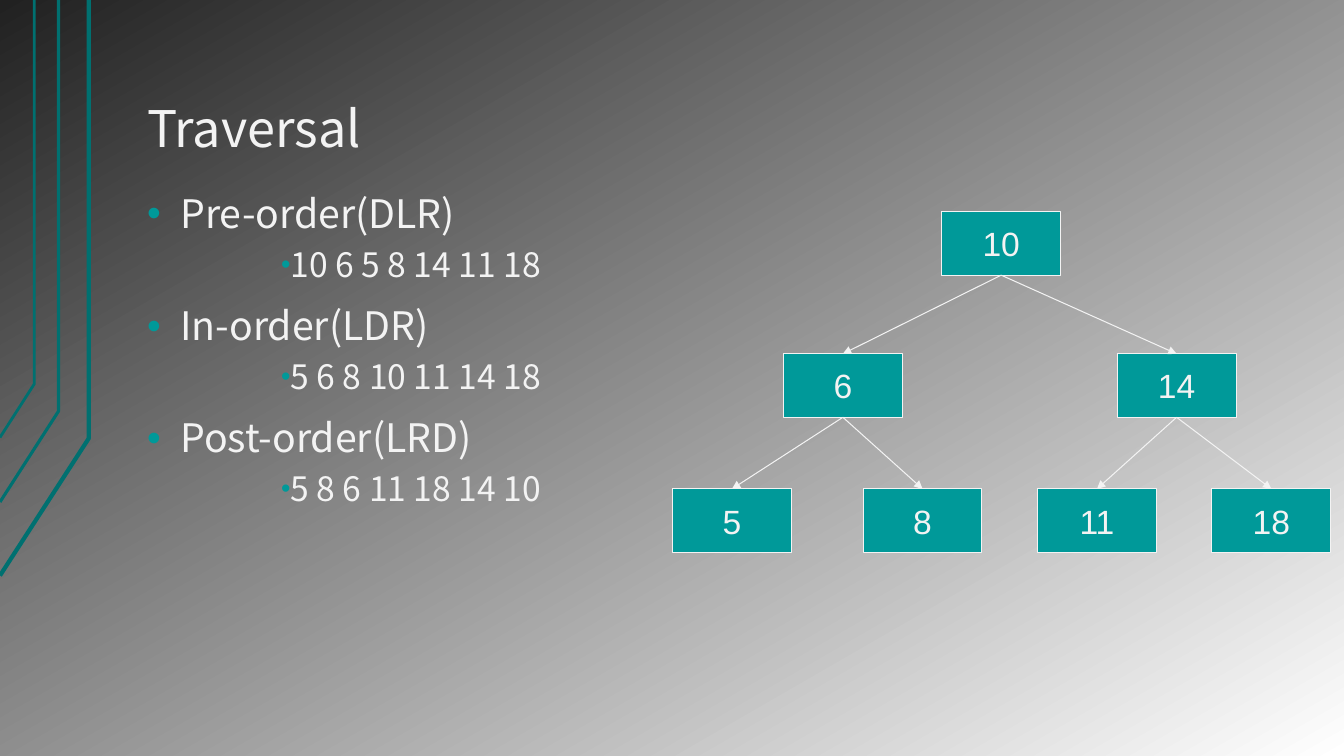
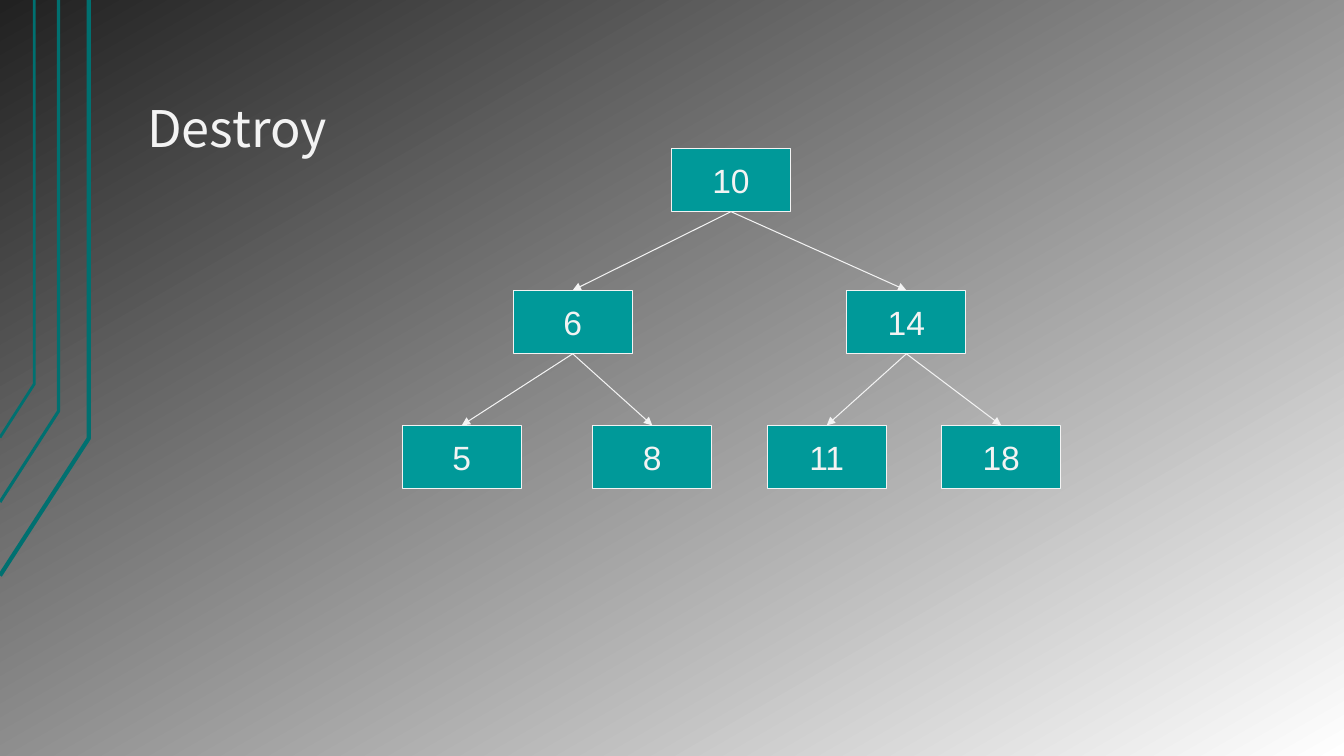
from lxml.etree import SubElement
from pptx import Presentation
from pptx.dml.color import RGBColor
from pptx.enum.shapes import MSO_CONNECTOR as Connector, MSO_SHAPE as Shape
from pptx.enum.text import MSO_ANCHOR as Anchor, PP_ALIGN as Align
from pptx.oxml.ns import qn
from pptx.util import Pt

PX = 9144  # EMU in one px, 100 px to the inch
SLIDE_W, SLIDE_H = 1333, 750

DARK = RGBColor(0x21, 0x21, 0x21)
WHITE = RGBColor(0xFF, 0xFF, 0xFF)
PALE = RGBColor(0xF3, 0xF3, 0xF3)
TEAL = RGBColor(0x00, 0x99, 0x99)
DEEP_TEAL = RGBColor(0x00, 0x70, 0x70)

HEADING_FONT = "Noto Sans CJK SC"
NODE_FONT = "Arial"

TITLE_BOX = (133, 30, 1133, 134)
BODY_BOX = (133, 186, 1133, 488)

# Bent side lines: corner points from the left edge up to the top, width in points
SIDE_LINES = [
    ([(0, 571), (88, 435), (88, 0)], 3),
    ([(0, 498), (58, 408), (58, 0)], 2.25),
    ([(0, 434), (34, 381), (34, 0)], 2),
]

# Outline levels: paragraph format, text size, left margin, first-line indent, bullet %
ORDER_LEVEL = (dict(level=0, line_spacing=0.9, space_before=Pt(16)), 28, 33, -33, 100)
KEYS_LEVEL = (dict(level=1, line_spacing=0.9, space_before=Pt(8)), 24, 41, 92, 80)

TRAVERSALS = [
    ("Pre-order(DLR)", "10 6 5 8 14 11 18"),
    ("In-order(LDR)", "5 6 8 10 11 14 18"),
    ("Post-order(LRD)", "5 8 6 11 18 14 10"),
]

# Binary search tree: key -> place within the tree, and parent -> children
NODE_W, NODE_H = 118, 63
NODES = {10: (267, 0), 6: (110, 141), 14: (441, 141),
         5: (0, 275), 8: (189, 275), 11: (362, 275), 18: (535, 275)}
CHILDREN = {10: (6, 14), 6: (5, 8), 14: (11, 18)}


def emu(*lengths):
    return [length * PX for length in lengths]


def set_format(target, formats):
    for name, value in formats.items():
        setattr(target, name, value)


def style_line(line, color, width):
    line.color.rgb = color
    line.width = Pt(width)


def add_text(paragraph, text, font_name, size):
    run = paragraph.add_run()
    run.text = text
    set_format(run.font, dict(name=font_name, size=Pt(size)))
    run.font.color.rgb = PALE


def add_text_frame(slide, box, anchor):
    frame = slide.shapes.add_textbox(*emu(*box)).text_frame
    side, edge = emu(13, 7)
    set_format(frame, dict(word_wrap=True, vertical_anchor=anchor,
                           margin_left=side, margin_right=side,
                           margin_top=edge, margin_bottom=edge))
    return frame


def add_bullet(paragraph, margin, indent, percent):
    props = paragraph._p.get_or_add_pPr()
    props.set("marL", str(margin * PX))
    props.set("indent", str(indent * PX))
    color = SubElement(props, qn("a:buClr"))
    SubElement(color, qn("a:srgbClr"), val=str(TEAL))
    SubElement(props, qn("a:buSzPct"), val=str(percent * 1000))
    SubElement(props, qn("a:buFont"), typeface=NODE_FONT)
    SubElement(props, qn("a:buChar"), char="•")


def add_base_slide(deck, title):
    slide = deck.slides.add_slide(deck.slide_layouts[6])

    # Diagonal gradient
    fill = slide.background.fill
    fill.gradient()
    fill.gradient_angle = 300
    for stop, color, position in zip(fill.gradient_stops, (DARK, WHITE), (0, 1)):
        stop.color.rgb = color
        stop.position = position

    # Side lines
    for points, width in SIDE_LINES:
        builder = slide.shapes.build_freeform(*points[0], scale=PX)
        builder.add_line_segments(points[1:], close=False)
        side_line = builder.convert_to_shape()
        side_line.shadow.inherit = False
        side_line.fill.background()
        style_line(side_line.line, DEEP_TEAL, width)

    # Title
    heading = add_text_frame(slide, TITLE_BOX, Anchor.BOTTOM).paragraphs[0]
    heading.line_spacing = 0.9
    add_text(heading, title, HEADING_FONT, 36)
    return slide


def add_traversals(slide, box):
    frame = add_text_frame(slide, box, Anchor.TOP)
    entries = [entry for order, keys in TRAVERSALS
               for entry in ((order, ORDER_LEVEL), (keys, KEYS_LEVEL))]
    for index, (text, level) in enumerate(entries):
        formats, size, margin, indent, percent = level
        paragraph = frame.add_paragraph() if index else frame.paragraphs[0]
        set_format(paragraph, formats)
        add_bullet(paragraph, margin, indent, percent)
        add_text(paragraph, text, HEADING_FONT, size)


def add_node(slide, key, left, top):
    node = slide.shapes.add_shape(Shape.RECTANGLE, *emu(left, top, NODE_W, NODE_H))
    node.shadow.inherit = False
    node.fill.solid()
    node.fill.fore_color.rgb = TEAL
    style_line(node.line, PALE, 0.75)
    set_format(node.text_frame, dict(word_wrap=False, vertical_anchor=Anchor.MIDDLE))
    label = node.text_frame.paragraphs[0]
    label.alignment = Align.CENTER
    add_text(label, str(key), NODE_FONT, 24)
    return node


def add_branch(slide, parent, child):
    branch = slide.shapes.add_connector(Connector.STRAIGHT, 0, 0, 0, 0)
    branch.begin_connect(parent, 2)
    branch.end_connect(child, 0)
    style_line(branch.line, PALE, 0.75)
    props = branch.element.spPr
    SubElement(props.find(qn("a:ln")), qn("a:tailEnd"), type="triangle")
    SubElement(props, qn("a:effectLst"))


def add_tree(slide, left, top):
    nodes = {key: add_node(slide, key, left + x, top + y)
             for key, (x, y) in NODES.items()}
    for parent, children in CHILDREN.items():
        for child in children:
            add_branch(slide, nodes[parent], nodes[child])


def main():
    deck = Presentation()
    deck.slide_width, deck.slide_height = emu(SLIDE_W, SLIDE_H)

    traversal = add_base_slide(deck, "Traversal")
    add_traversals(traversal, BODY_BOX)
    add_tree(traversal, 667, 210)

    destroy = add_base_slide(deck, "Destroy")
    add_tree(destroy, 399, 147)

    deck.save("out.pptx")


if __name__ == "__main__":
    main()
